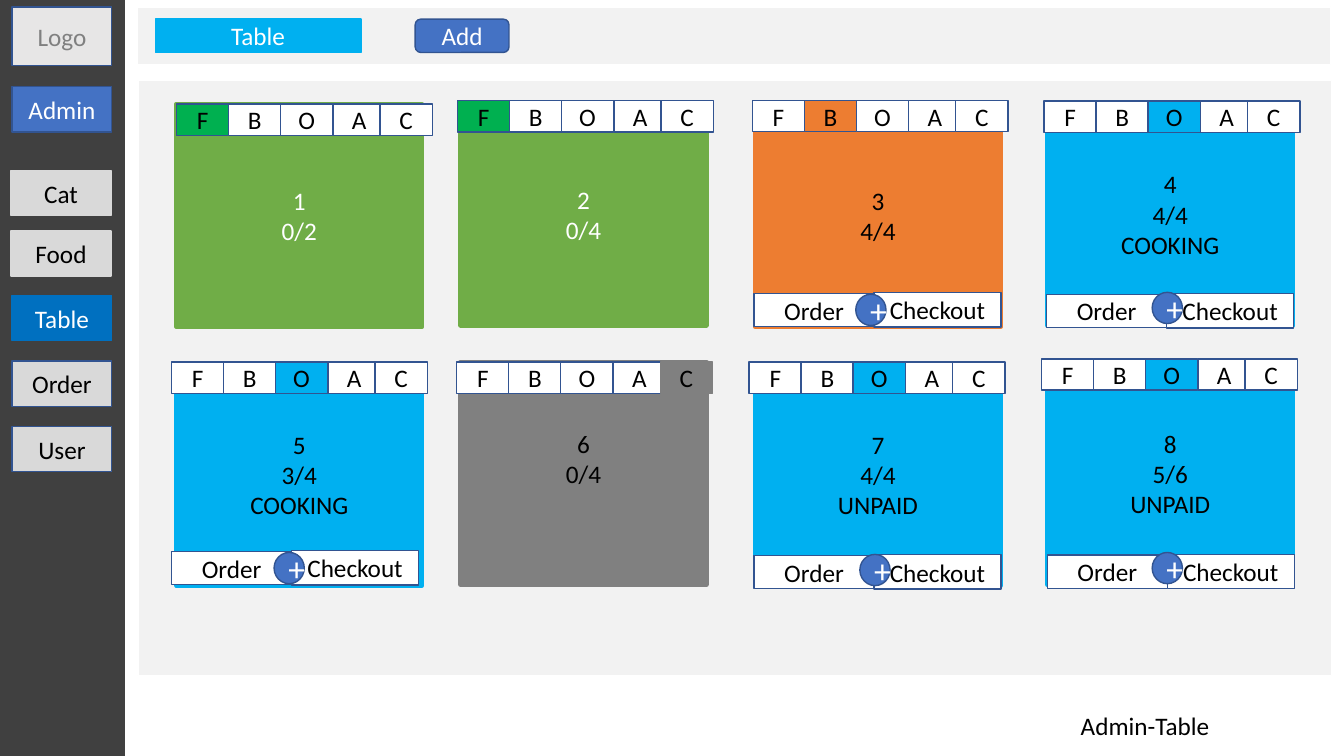
"""Build the admin table overview: sidebar, toolbar and eight table cards."""
import dataclasses

import pptx
import pptx.dml.color
import pptx.enum.shapes
import pptx.enum.text
import pptx.util


@dataclasses.dataclass(frozen=True)
class Theme:
    font: str = "Calibri"
    text_size: int = 18
    plus_size: int = 24
    white: str = "FFFFFF"
    black: str = "000000"
    sidebar: str = "404040"
    panel: str = "F2F2F2"
    button: str = "D9D9D9"
    logo: str = "E7E6E6"
    grey: str = "808080"
    accent: str = "4472C4"
    outline: str = "325491"
    selected: str = "0070C0"
    cyan: str = "00B0F0"
    green: str = "70AD47"
    free: str = "00B050"
    orange: str = "ED7D31"


THEME = Theme()
Pt = pptx.util.Pt
KINDS = pptx.enum.shapes.MSO_SHAPE
ALIGN = pptx.enum.text.PP_ALIGN
ANCHOR = pptx.enum.text.MSO_ANCHOR

CAPTION = "Admin-Table"
PANELS = [
    ((0, 0, 88.6, 540), THEME.sidebar, THEME.sidebar),
    ((97.9, 5, 852.5, 41), THEME.panel, THEME.white),
    ((98.6, 57.6, 852.5, 424.8), THEME.panel, THEME.white),
]
BUTTONS = [
    ("Logo", (8.6, 5, 71.3, 41.8), THEME.logo, THEME.outline, THEME.grey),
    ("Admin", (8.6, 61.9, 71.3, 32.4), THEME.accent, THEME.outline, THEME.white),
    ("Cat", (7.9, 121.7, 71.3, 32.4), THEME.button, THEME.button, THEME.black),
    ("Food", (7.9, 164.9, 71.3, 32.4), THEME.button, THEME.button, THEME.black),
    ("Table", (8.6, 211, 71.3, 32.4), THEME.selected, THEME.selected, THEME.white),
    ("Order", (8.6, 257.8, 71.3, 32.4), THEME.button, THEME.outline, THEME.black),
    ("User", (8.6, 304.6, 71.3, 32.4), THEME.button, THEME.outline, THEME.black),
    ("Table", (110.9, 13.7, 146.9, 23.8), THEME.cyan, THEME.cyan, THEME.white),
]
ADD_BUTTON = ("Add", (296.6, 13.7, 67, 23.8))

CARD_SIZE = (175.7, 159.1)
LINE_HEIGHT = 21.6
CARD_LINES = 3
STATES = {
    "F": (THEME.green, THEME.free, THEME.outline, THEME.white),
    "B": (THEME.orange, THEME.orange, THEME.outline, THEME.black),
    "O": (THEME.cyan, THEME.cyan, THEME.outline, THEME.black),
    "C": (THEME.grey, THEME.grey, THEME.grey, THEME.black),
}
TAB_OFFSETS = {"F": 0, "B": 37.2, "A": 111.8, "O": 74.3, "C": 145.4}
TAB_SIZE = (37.4, 22.3)
ORDER_SIZE = (85.7, 23.8)
CHECKOUT_SIZE = (90.7, 24.5)
PLUS_SIZE = (21.6, 22.3)

# state, lines, card, tabs, actions, plus
CARDS = [
    ("F", ["1", "0/2"], (126, 74.2), (126, 74.4), None, None),
    ("F", ["2", "0/4"], (329, 73.4), (326.7, 72), None, None),
    ("B", ["3", "4/4"], (539.3, 74.2), (537.3, 71.7), (538.6, 209.5), (611.3, 210.2)),
    ("O", ["4", "4/4", "COOKING"], (748.1, 73.4), (745.7, 72.2), (747.6, 210.2), (823, 208.8)),
    ("O", ["5", "3/4", "COOKING"], (126, 259.2), (122.4, 258.6), (122.6, 393.8), (195.8, 394.6)),
    ("C", ["6", "0/4"], (329, 258.5), (326.2, 258.6), None, None),
    ("O", ["7", "4/4", "UNPAID"], (539.3, 259.2), (535.1, 258.6), (538.6, 396.7), (614.2, 396)),
    ("O", ["8", "5/6", "UNPAID"], (748.1, 258.5), (743.9, 256.3), (748.1, 396.4), (823, 394.6)),
]


def rgb(value):
    """Return a colour object for a hex value."""
    return pptx.dml.color.RGBColor.from_string(value)


def write(frame, lines, color, size=THEME.text_size):
    """Write centred lines into a text frame."""
    frame.word_wrap = True
    frame.vertical_anchor = ANCHOR.MIDDLE
    for number, line in enumerate(lines):
        para = frame.add_paragraph() if number else frame.paragraphs[0]
        para.alignment = ALIGN.CENTER
        span = para.add_run()
        span.text = line
        span.font.name = THEME.font
        span.font.size = Pt(size)
        span.font.color.rgb = rgb(color)


def add_box(shapes, frame, fill, line, lines=(), color=THEME.black,
            kind=KINDS.RECTANGLE, width=1, size=THEME.text_size):
    """Add one filled and outlined shape with optional text."""
    box = shapes.add_shape(kind, *map(Pt, frame))
    box.shadow.inherit = False
    box.fill.solid()
    box.fill.fore_color.rgb = rgb(fill)
    box.line.color.rgb = rgb(line)
    box.line.width = Pt(width)
    write(box.text_frame, lines, color, size)
    return box


def add_card(shapes, state, lines, corner, tabs, actions, plus):
    """Add a table card with its status tabs and action buttons."""
    fill, tab_fill, tab_line, color = STATES[state]
    card = add_box(shapes, corner + CARD_SIZE, fill, fill, lines, color, width=3)
    if state == "C":
        missing = CARD_LINES - len(lines)
        card.text_frame.margin_bottom = Pt(3.6 + LINE_HEIGHT * missing)
    for letter, offset in TAB_OFFSETS.items():
        active = letter == state
        add_box(shapes, (tabs[0] + offset, tabs[1]) + TAB_SIZE,
                tab_fill if active else THEME.white,
                tab_line if active else THEME.outline, [letter])
    if actions:
        left, top = actions
        pair = shapes.add_group_shape().shapes
        add_box(pair, actions + ORDER_SIZE, THEME.white, THEME.outline, ["Order"])
        add_box(pair, (left + ORDER_SIZE[0], top - 0.4) + CHECKOUT_SIZE,
                THEME.white, THEME.outline, ["Checkout"])
        add_box(shapes, plus + PLUS_SIZE, THEME.accent, THEME.outline, ["+"],
                THEME.white, KINDS.OVAL, size=THEME.plus_size)


def main():
    """Assemble and save the deck."""
    deck = pptx.Presentation()
    deck.slide_width, deck.slide_height = Pt(960), Pt(540)
    page = deck.slides.add_slide(deck.slide_layouts[5])
    for frame, fill, line in PANELS:
        add_box(page.shapes, frame, fill, line)
    for label, frame, fill, line, color in BUTTONS:
        add_box(page.shapes, frame, fill, line, [label], color)
    label, frame = ADD_BUTTON
    add_box(page.shapes, frame, THEME.accent, THEME.outline, [label],
            THEME.white, KINDS.ROUNDED_RECTANGLE)
    for card in CARDS:
        add_card(page.shapes, *card)
    title = page.shapes.title
    title.left, title.top, title.width, title.height = map(Pt, (702.7, 504, 230.4, 29))
    title.text_frame.auto_size = pptx.enum.text.MSO_AUTO_SIZE.NONE
    write(title.text_frame, [CAPTION], THEME.black)
    deck.save("out.pptx")


if __name__ == "__main__":
    main()
